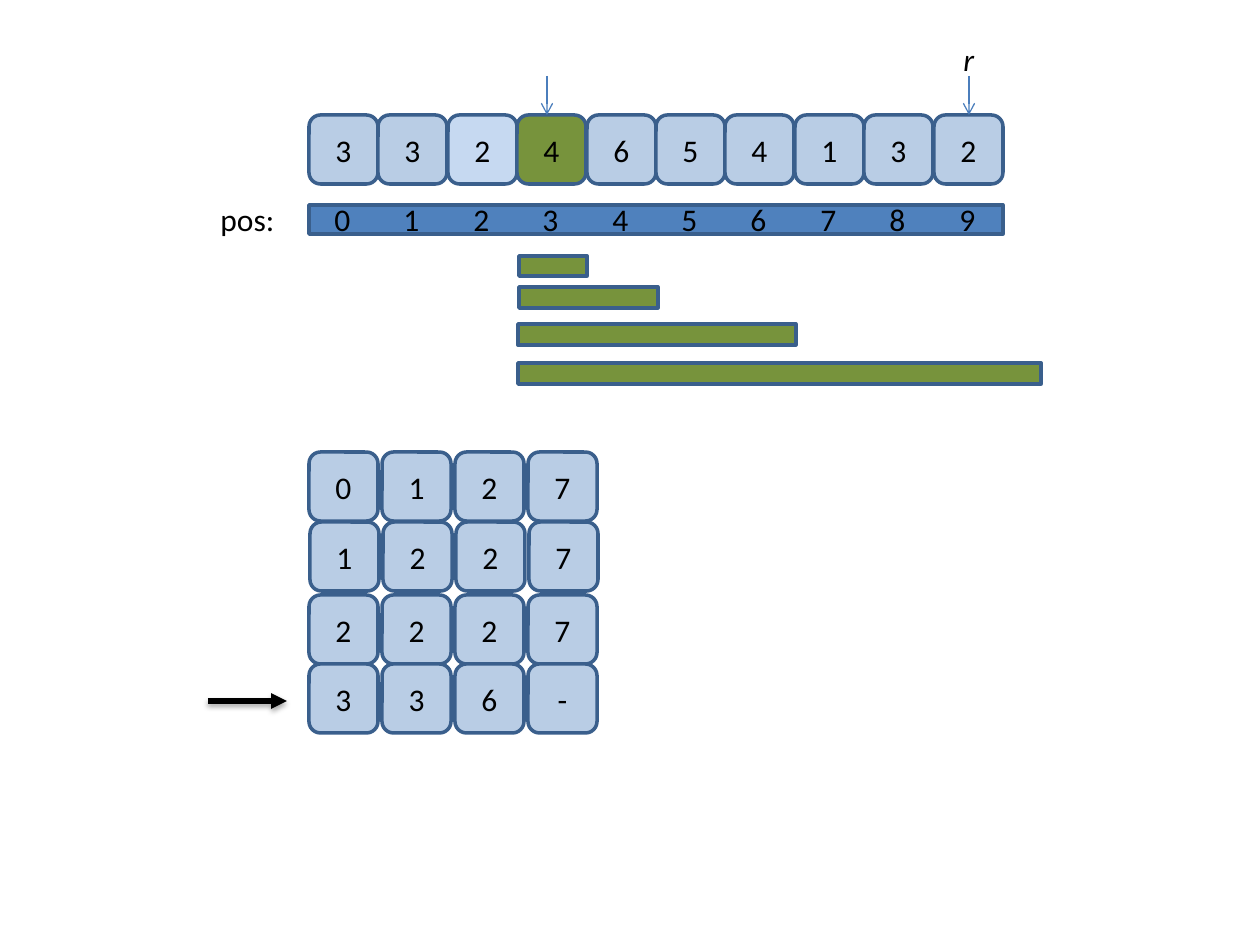
import pptx
import pptx.util
import pptx.dml.color
import pptx.enum.shapes
import pptx.enum.text
import pptx.oxml
import pptx.oxml.ns

SCALE = 914400 / 126
KIND = pptx.enum.shapes.MSO_SHAPE
ALIGN = pptx.enum.text.PP_ALIGN
NS = pptx.oxml.ns.nsdecls("a")
SHADE = (
    '<a:outerShdw blurRad="39370" dist="22860" dir="5400000" rotWithShape="0">'
    '<a:srgbClr val="000000"><a:alpha val="35000"/></a:srgbClr></a:outerShdw>'
)
BLUE, PALE, GREEN, BAND = "B9CDE5", "C6D9F1", "77933C", "4F81BD"
EDGE, THIN, BLACK = "3A5F8C", "4B7EBC", "000000"


def px(num):
    return pptx.util.Emu(round(num * SCALE))


def color(code):
    return pptx.dml.color.RGBColor.from_string(code)


class Panel:
    font = "Calibri"
    size = 18
    side = 69

    def __init__(self, slide):
        self.slide = slide

    def letter(self, frame, text, align, slant=False):
        frame.text = text
        line = frame.paragraphs[0]
        line.alignment = align
        for run in line.runs:
            run.font.name = self.font
            run.font.size = pptx.util.Pt(self.size)
            run.font.italic = slant
            run.font.color.rgb = color(BLACK)

    def block(self, kind, left, top, width, height, fill):
        shape = self.slide.shapes.add_shape(
            kind, px(left), px(top), px(width), px(height))
        shape.shadow.inherit = False
        shape.fill.solid()
        shape.fill.fore_color.rgb = color(fill)
        shape.line.color.rgb = color(EDGE)
        shape.line.width = pptx.util.Pt(2)
        return shape

    def bar(self, left, top, width, height, fill):
        self.block(KIND.RECTANGLE, left, top, width, height, fill)

    def cell(self, left, top, text, fill=BLUE):
        shape = self.block(
            KIND.ROUNDED_RECTANGLE, left, top, self.side, self.side, fill)
        shape.text_frame.vertical_anchor = pptx.enum.text.MSO_ANCHOR.MIDDLE
        self.letter(shape.text_frame, text, ALIGN.CENTER)

    def label(self, left, top, width, text, slant=False):
        box = self.slide.shapes.add_textbox(px(left), px(top), px(width), px(50))
        box.text_frame.word_wrap = False
        box.text_frame.auto_size = pptx.enum.text.MSO_AUTO_SIZE.SHAPE_TO_FIT_TEXT
        self.letter(box.text_frame, text, ALIGN.LEFT, slant)

    def arrow(self, start, end, stroke, width, head, shade=""):
        line = self.slide.shapes.add_connector(
            pptx.enum.shapes.MSO_CONNECTOR.STRAIGHT,
            *[px(num) for num in start + end])
        line.line.color.rgb = color(stroke)
        line.line.width = pptx.util.Pt(width)
        props = line._element.spPr
        tip = pptx.oxml.parse_xml(f'<a:tailEnd {NS} type="{head}"/>')
        props.get_or_add_ln().append(tip)
        glow = pptx.oxml.parse_xml(f"<a:effectLst {NS}>{shade}</a:effectLst>")
        props.append(glow)


def main():
    deck = pptx.Presentation()
    deck.slide_width, deck.slide_height = px(1260), px(945)
    panel = Panel(deck.slides.add_slide(deck.slide_layouts[6]))

    left = 309
    step = 69.4
    panel.bar(left, 205, 694, 29, BAND)
    fills = {2: PALE, 3: GREEN}
    for pos, text in enumerate("3324654132"):
        shift = round(pos * step)
        panel.cell(left + shift, 115, text, fills.get(pos, BLUE))
        panel.label(322 + shift, 194, 42, str(pos))
    panel.label(208, 194, 79, "pos:")
    panel.label(951, 34, 37, "r", slant=True)

    for mid in (547, 969):
        panel.arrow((mid, 76), (mid, 115), THIN, 0.75, "arrow")

    spans = [(519, 256, 68, 20), (519, 287, 139, 21),
             (518, 324, 278, 21), (518, 363, 523, 21)]
    for span in spans:
        panel.bar(*span, GREEN)

    rows = [(left, 452, "0127"), (left + 1, 522, "1227"),
            (left, 595, "2227"), (left, 664, "336-")]
    for start, top, texts in rows:
        for col, text in enumerate(texts):
            panel.cell(start + 73 * col, top, text)
    panel.arrow((208, 701), (287, 701), BLACK, 3, "triangle", SHADE)

    deck.save("out.pptx")


if __name__ == "__main__":
    main()
